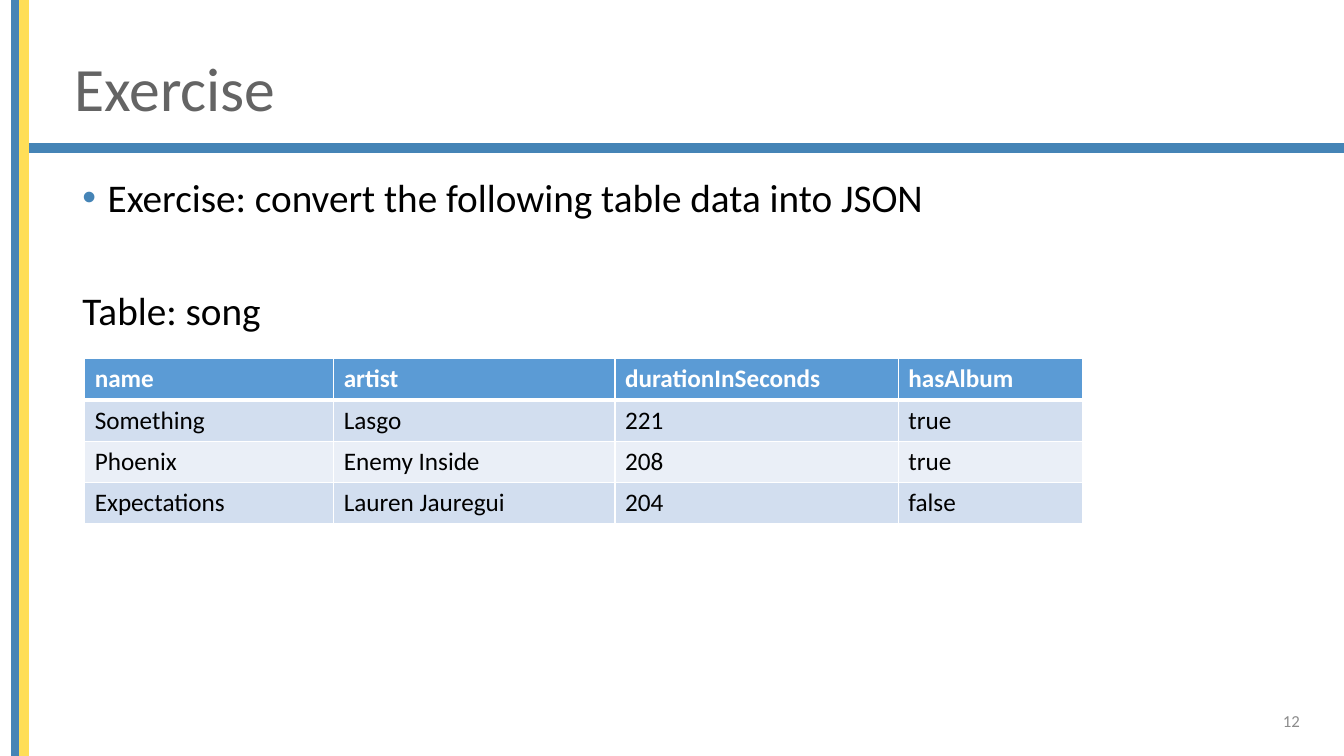
from lxml.etree import SubElement
from pptx import Presentation
from pptx.dml.color import RGBColor
from pptx.enum.shapes import MSO_SHAPE as Shape
from pptx.enum.text import MSO_ANCHOR as Anchor, PP_ALIGN as Align
from pptx.oxml.ns import qn
from pptx.util import Inches, Pt

COLORS = {
    "blue": "4584B6",
    "yellow": "FFDE57",
    "title": "646464",
    "text": "000000",
    "number": "8C8C8C",
    "white": "FFFFFF",
    "header": "5B9BD5",
    "band_dark": "D2DEEF",
    "band_light": "EAEFF7",
}
FONT = "Calibri"
BAR_WIDTH = 0.08
SONGS = [
    ("name", "artist", "durationInSeconds", "hasAlbum"),
    ("Something", "Lasgo", "221", "true"),
    ("Phoenix", "Enemy Inside", "208", "true"),
    ("Expectations", "Lauren Jauregui", "204", "false"),
]
COLUMN_WIDTHS = (2.47, 2.79, 2.81, 1.83)
ROW_HEIGHT = 0.41


def rgb(name):
    return RGBColor.from_string(COLORS[name])


def add_bar(slide, left, top, width, height, color):
    bar = slide.shapes.add_shape(
        Shape.RECTANGLE, Inches(left), Inches(top), Inches(width), Inches(height))
    bar.shadow.inherit = False
    bar.fill.solid()
    bar.fill.fore_color.rgb = rgb(color)
    bar.line.color.rgb = rgb(color)
    bar.line.width = Pt(1)


def add_text_frame(slide, left, top, width, height, anchor):
    box = slide.shapes.add_textbox(
        Inches(left), Inches(top), Inches(width), Inches(height))
    frame = box.text_frame
    frame.word_wrap = True
    frame.vertical_anchor = anchor
    return frame


def add_run(paragraph, text, size, color, bold=False):
    run = paragraph.add_run()
    run.text = text
    run.font.name = FONT
    run.font.size = Pt(size)
    run.font.bold = bold
    run.font.color.rgb = rgb(color)


def add_bullet(paragraph, color):
    properties = paragraph._p.get_or_add_pPr()
    properties.set("marL", str(Inches(0.25)))
    properties.set("indent", str(Inches(-0.25)))
    bullet_color = SubElement(properties, qn("a:buClr"))
    SubElement(bullet_color, qn("a:srgbClr"), val=COLORS[color])
    SubElement(properties, qn("a:buFont"), typeface="Arial")
    SubElement(properties, qn("a:buChar"), char="•")


def add_title(slide, text):
    paragraph = add_text_frame(slide, 0.64, 0.4, 11.78, 1.01, Anchor.MIDDLE).paragraphs[0]
    paragraph.line_spacing = 0.9
    add_run(paragraph, text, 44, "title")


def add_body(slide, task, caption):
    frame = add_text_frame(slide, 0.72, 1.72, 9.9, 4.76, Anchor.TOP)
    for paragraph, text, space in (
            (frame.paragraphs[0], task, 10), (frame.add_paragraph(), caption, 51)):
        paragraph.line_spacing = 0.9
        paragraph.space_before = Pt(space)
        add_run(paragraph, text, 28, "text")
    add_bullet(frame.paragraphs[0], "blue")


def add_slide_number(slide, number):
    paragraph = add_text_frame(slide, 9.99, 6.95, 3, 0.4, Anchor.MIDDLE).paragraphs[0]
    paragraph.alignment = Align.RIGHT
    add_run(paragraph, number, 12, "number")


def set_borders(cell, widths):
    properties = cell._tc.get_or_add_tcPr()
    for side, width in zip("LRTB", widths):
        line = SubElement(properties, qn(f"a:ln{side}"), w=str(Pt(width)))
        fill = SubElement(line, qn("a:solidFill"))
        SubElement(fill, qn("a:srgbClr"), val=COLORS["white"])


def add_table(slide, left, top, rows):
    table = slide.shapes.add_table(
        len(rows), len(COLUMN_WIDTHS), Inches(left), Inches(top),
        Inches(sum(COLUMN_WIDTHS)), Inches(ROW_HEIGHT * len(rows))).table
    for column, width in zip(table.columns, COLUMN_WIDTHS):
        column.width = Inches(width)
    for row_index, values in enumerate(rows):
        header = row_index == 0
        band = "band_dark" if row_index % 2 else "band_light"
        top_width = 3 if row_index == 1 else 1
        bottom_width = 3 if header else 1
        table.rows[row_index].height = Inches(ROW_HEIGHT)
        for column_index, value in enumerate(values):
            cell = table.cell(row_index, column_index)
            set_borders(cell, (1, 1, top_width, bottom_width))
            cell.fill.solid()
            cell.fill.fore_color.rgb = rgb("header" if header else band)
            add_run(cell.text_frame.paragraphs[0], value, 18,
                    "white" if header else "text", header)


def main():
    presentation = Presentation()
    presentation.slide_width = Inches(13.33)
    presentation.slide_height = Inches(7.5)
    slide = presentation.slides.add_slide(presentation.slide_layouts[6])
    add_bar(slide, 0.19, 1.43, 13.14, BAR_WIDTH, "blue")
    add_bar(slide, 0.12, 0, BAR_WIDTH, 7.5, "blue")
    add_bar(slide, 0.2, 0, BAR_WIDTH, 7.5, "yellow")
    add_title(slide, "Exercise")
    add_body(slide, "Exercise: convert the following table data into JSON", "Table: song")
    add_slide_number(slide, "12")
    add_table(slide, 0.84, 3.56, SONGS)
    presentation.save("out.pptx")


main()
